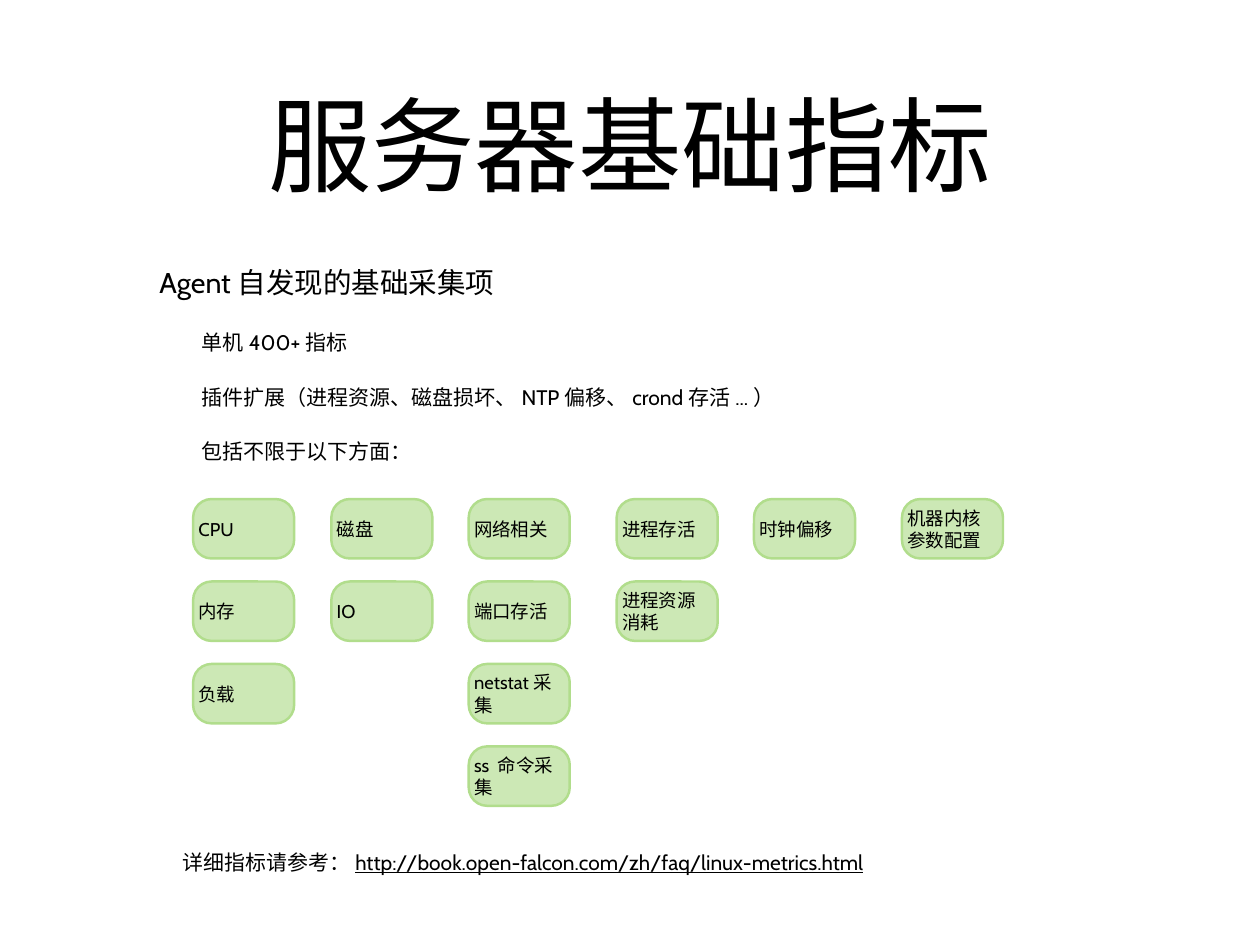
"""Build a slide on the basic server metrics that an agent collects."""
from dataclasses import dataclass

from pptx import Presentation
from pptx.dml.color import RGBColor
from pptx.enum.shapes import MSO_SHAPE as Preset
from pptx.enum.text import MSO_ANCHOR as Anchor, MSO_AUTO_SIZE as AutoSize, PP_ALIGN as Align
from pptx.shapes.autoshape import Shape
from pptx.slide import Slide
from pptx.util import Emu, Pt

EMU_PER_PX = 9144
FONT = "Cabin"
BLACK = RGBColor(0x00, 0x00, 0x00)
GREEN = RGBColor(0xCC, 0xE8, 0xB5)
DARK_GREEN = RGBColor(0xB1, 0xDD, 0x8C)

PAGE_WIDTH, PAGE_HEIGHT = 1422, 1066
TILE_WIDTH, TILE_HEIGHT = 114, 67
FIRST_TILE_TOP, TILE_PITCH = 563, 93


@dataclass(frozen=True)
class Span:
    text: str
    underline: bool = False


@dataclass(frozen=True)
class Para:
    spans: tuple[Span, ...]
    size: float
    align: Align = Align.LEFT
    level: int = 0
    indent: int = 0
    space_before: int = 0


@dataclass(frozen=True)
class TextBlock:
    left: int
    top: int
    width: int
    height: int
    paras: tuple[Para, ...]
    auto_size: AutoSize = AutoSize.NONE


@dataclass(frozen=True)
class MetricColumn:
    left: int
    labels: tuple[str, ...]


def detail(text: str) -> Para:
    """Return a second-level paragraph."""
    return Para((Span(text),), 17.1, level=1, indent=83, space_before=24)


BLOCKS = (
    TextBlock(139, 28, 1144, 267, (Para((Span("服务器基础指标"),), 84, Align.CENTER),)),
    TextBlock(139, 303, 1144, 217, (
        Para((Span("Agent自发现的基础采集项"),), 23.2, indent=35),
        detail("单机400+指标"),
        detail("插件扩展（进程资源、磁盘损坏、NTP偏移、crond存活...）"),
        detail("包括不限于以下方面："),
    )),
    TextBlock(200, 953, 1043, 39, (
        Para((
            Span("详细指标请参考："),
            Span("http://book.open-falcon.com/zh/faq/linux-metrics.html", underline=True),
        ), 17),
    ), AutoSize.SHAPE_TO_FIT_TEXT),
)

COLUMNS = (
    MetricColumn(218, ("CPU", "内存", "负载")),
    MetricColumn(374, ("磁盘", "IO")),
    MetricColumn(529, ("网络相关", "端口存活", "netstat采集", "ss 命令采集")),
    MetricColumn(696, ("进程存活", "进程资源消耗")),
    MetricColumn(851, ("时钟偏移",)),
    MetricColumn(1018, ("机器内核参数配置",)),
)


def px(length: int) -> Emu:
    """Turn px into EMU."""
    return Emu(length * EMU_PER_PX)


def write_text(box: Shape, paras: tuple[Para, ...], inset: int) -> None:
    """Fill a shape with paragraphs, run by run."""
    frame = box.text_frame
    frame.word_wrap = True
    frame.vertical_anchor = Anchor.MIDDLE
    frame.margin_left = frame.margin_right = px(inset)
    frame.margin_top = frame.margin_bottom = px(inset)
    for index, item in enumerate(paras):
        para = frame.add_paragraph() if index else frame.paragraphs[0]
        para.alignment = item.align
        para.level = item.level
        para.space_before = Pt(item.space_before)
        properties = para._p.get_or_add_pPr()
        properties.set("marL", str(px(item.indent)))
        properties.set("indent", "0")
        for part in item.spans:
            span = para.add_run()
            span.text = part.text
            span.font.name = FONT
            span.font.size = Pt(item.size)
            span.font.color.rgb = BLACK
            if part.underline:
                span.font.underline = True


def add_block(page: Slide, block: TextBlock) -> None:
    """Draw a text box."""
    box = page.shapes.add_textbox(
        px(block.left), px(block.top), px(block.width), px(block.height))
    write_text(box, block.paras, inset=6)
    box.text_frame.auto_size = block.auto_size


def add_tile(page: Slide, left: int, top: int, label: str) -> None:
    """Draw a rounded metric tile."""
    tile = page.shapes.add_shape(
        Preset.ROUNDED_RECTANGLE, px(left), px(top), px(TILE_WIDTH), px(TILE_HEIGHT))
    tile.adjustments[0] = 0.31
    tile.shadow.inherit = False
    tile.fill.solid()
    tile.fill.fore_color.rgb = GREEN
    tile.line.color.rgb = DARK_GREEN
    tile.line.width = Pt(2)
    write_text(tile, (Para((Span(label),), 15),), inset=0)


def main() -> None:
    """Build and save the deck."""
    deck = Presentation()
    deck.slide_width, deck.slide_height = px(PAGE_WIDTH), px(PAGE_HEIGHT)
    page = deck.slides.add_slide(deck.slide_layouts[6])
    for block in BLOCKS:
        add_block(page, block)
    for column in COLUMNS:
        for row, label in enumerate(column.labels):
            add_tile(page, column.left, FIRST_TILE_TOP + row * TILE_PITCH, label)
    deck.save("out.pptx")


if __name__ == "__main__":
    main()
